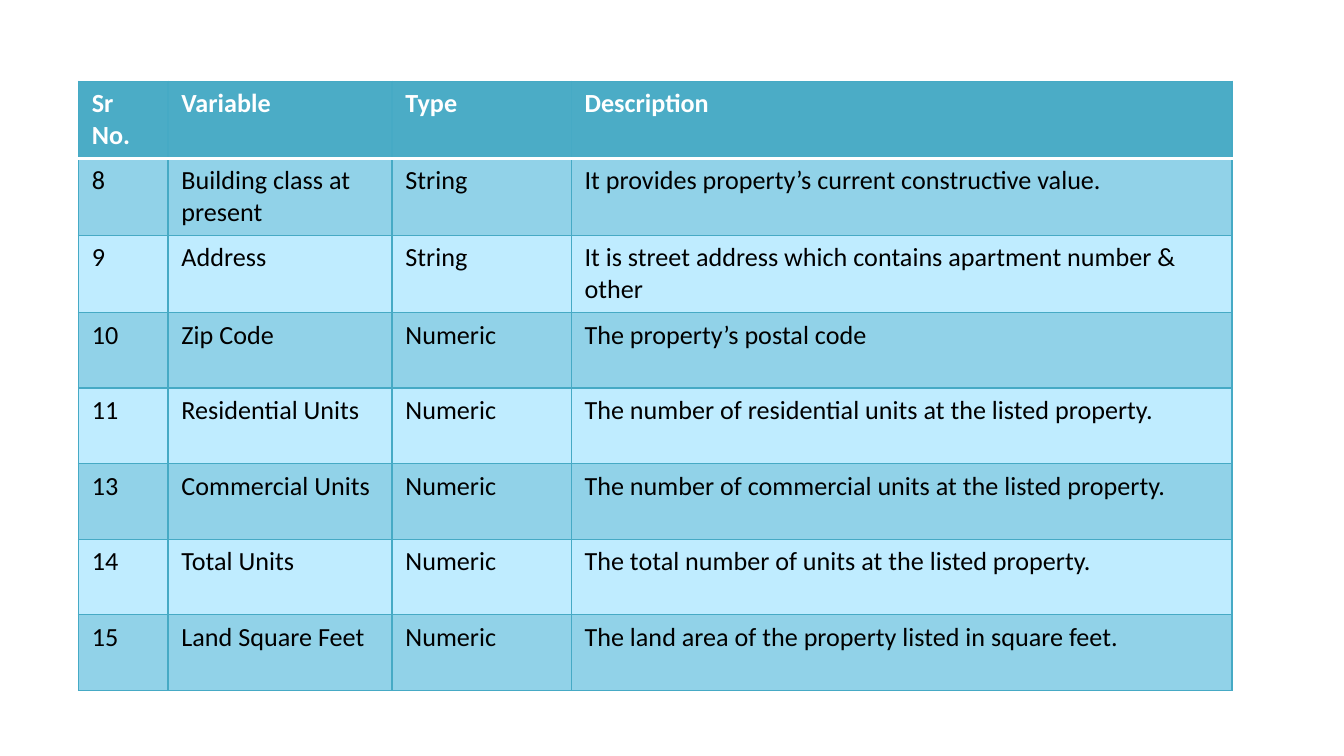
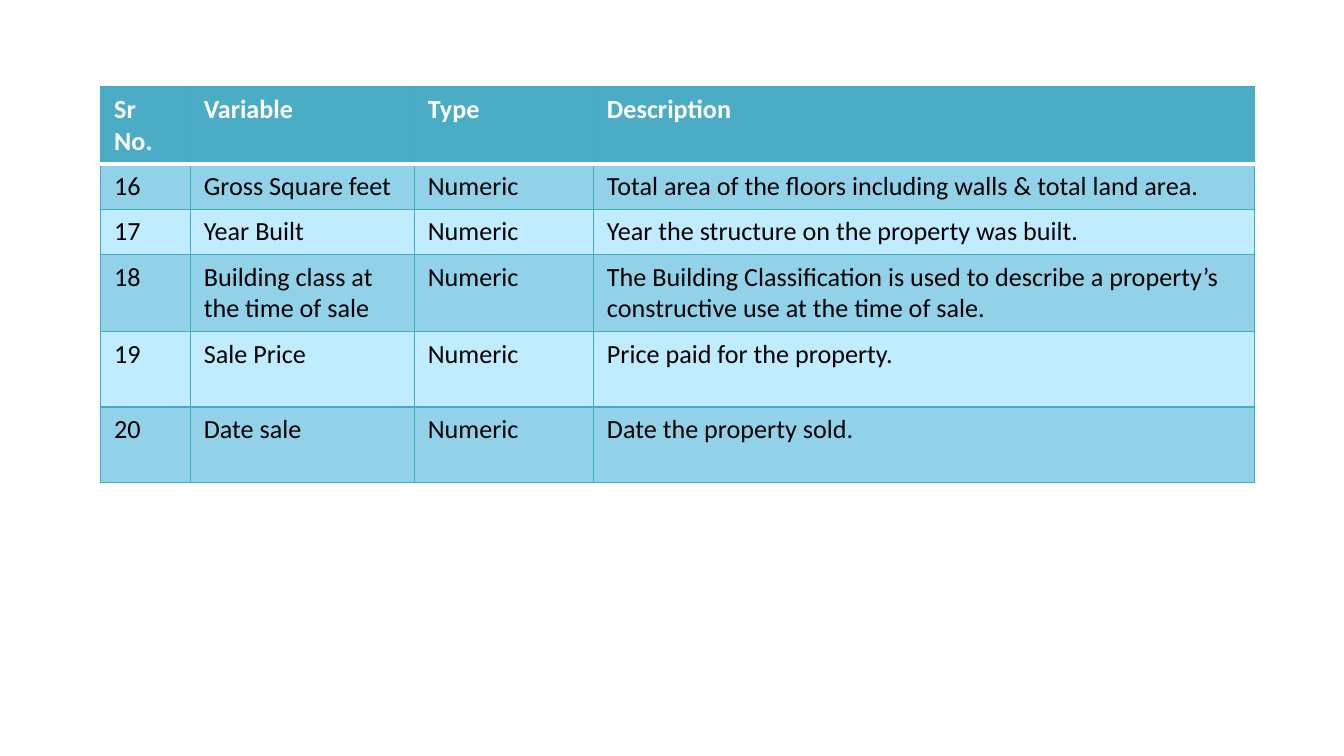
"""Build two slides of a data dictionary for property sales."""
from dataclasses import dataclass

from lxml.etree import SubElement
from pptx import Presentation
from pptx.dml.color import RGBColor
from pptx.oxml.ns import qn
from pptx.util import Pt

HEADER = ("Sr No.", "Variable", "Type", "Description")
COLUMNS = (64, 160, 128, 472)
TALL, SHORT = 54, 32

TABLES = [
    {
        "at": (56, 58),
        "rows": [
            ("8", "Building class at present", "String", "It provides property’s current constructive value."),
            ("9", "Address", "String", "It is street address which contains apartment number & other"),
            ("10", "Zip Code", "Numeric", "The property’s postal code"),
            ("11", "Residential Units", "Numeric", "The number of residential units at the listed property."),
            ("13", "Commercial Units", "Numeric", "The number of commercial units at the listed property."),
            ("14", "Total Units", "Numeric", "The total number of units at the listed property."),
            ("15", "Land Square Feet", "Numeric", "The land area of the property listed in square feet."),
        ],
        "short": (),
    },
    {
        "at": (72, 62),
        "rows": [
            ("16", "Gross Square feet", "Numeric", "Total area of the floors including walls & total land area."),
            ("17", "Year Built", "Numeric", "Year the structure on the property was built."),
            ("18", "Building class at the time of sale", "Numeric",
             "The Building Classification is used to describe a property’s constructive use at the time of sale."),
            ("19", "Sale Price", "Numeric", "Price paid for the property."),
            ("20", "Date sale", "Numeric", "Date the property sold."),
        ],
        "short": (1, 2),
    },
]


@dataclass(frozen=True)
class Theme:
    font: str = "Calibri"
    size: int = 14
    header: str = "4BACC6"
    bands: tuple = ("BFECFF", "91D2E8")
    header_text: str = "FFFFFF"
    body_text: str = "000000"
    grid: tuple = ("46AAC5", 0.75)
    rule: tuple = ("FFFFFF", 2)


THEME = Theme()


def px(n):
    return n * 9525


def set_borders(cell, top, bottom):
    tc_pr = cell._tc.get_or_add_tcPr()
    edges = {"a:lnL": THEME.grid, "a:lnR": THEME.grid, "a:lnT": top, "a:lnB": bottom}
    for i, (tag, (color, width)) in enumerate(edges.items()):
        ln = SubElement(tc_pr, qn(tag), w=str(Pt(width)))
        fill = SubElement(ln, qn("a:solidFill"))
        SubElement(fill, qn("a:srgbClr"), val=color)
        tc_pr.insert(i, ln)


def fill_cell(cell, text, row):
    is_header = row == 0
    cell.fill.solid()
    cell.fill.fore_color.rgb = RGBColor.from_string(THEME.header if is_header else THEME.bands[row % 2])
    set_borders(cell, THEME.rule if row == 1 else THEME.grid, THEME.rule if is_header else THEME.grid)
    cell.text_frame.text = text
    font = cell.text_frame.paragraphs[0].runs[0].font
    font.name, font.size, font.bold = THEME.font, Pt(THEME.size), is_header
    font.color.rgb = RGBColor.from_string(THEME.header_text if is_header else THEME.body_text)


def add_variables(s, table):
    rows = [HEADER, *table["rows"]]
    heights = [SHORT if i in table["short"] else TALL for i in range(len(rows))]
    x, y = table["at"]
    frame = s.shapes.add_table(len(rows), len(COLUMNS), px(x), px(y), px(sum(COLUMNS)), px(sum(heights)))
    tbl = frame.table
    tbl.horz_banding = False
    for column, width in zip(tbl.columns, COLUMNS):
        column.width = px(width)
    for i, (texts, height) in enumerate(zip(rows, heights)):
        tbl.rows[i].height = px(height)
        for j, text in enumerate(texts):
            fill_cell(tbl.cell(i, j), text, i)


def main():
    prs = Presentation()
    prs.slide_width, prs.slide_height = px(960), px(540)
    for table in TABLES:
        add_variables(prs.slides.add_slide(prs.slide_layouts[6]), table)
    prs.save("out.pptx")


if __name__ == "__main__":
    main()
